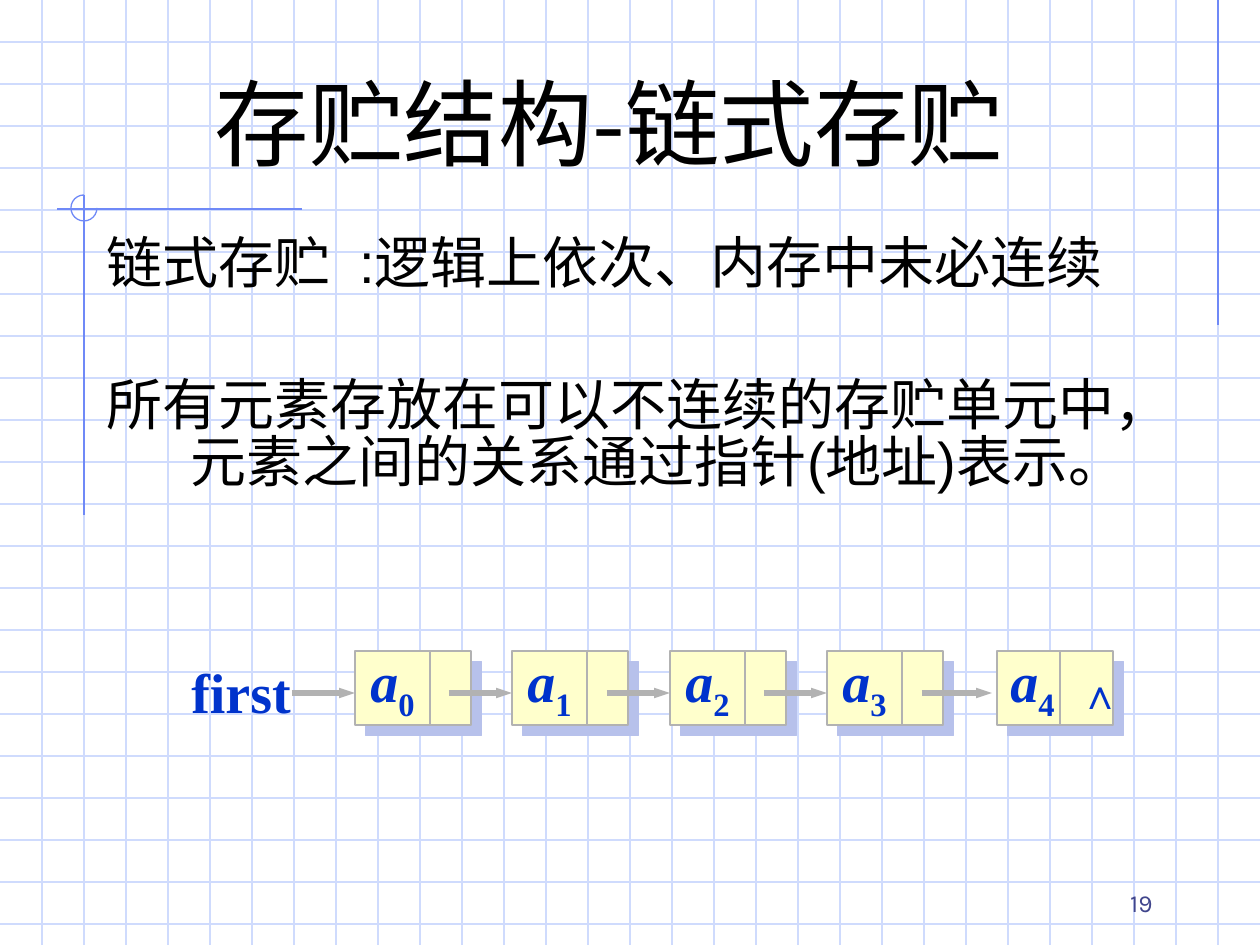
"""Build the slide on linked storage with its chain of nodes."""
from lxml.etree import SubElement
from pptx import Presentation
from pptx.dml.color import RGBColor
from pptx.enum.shapes import MSO_CONNECTOR, MSO_SHAPE
from pptx.enum.text import MSO_ANCHOR, MSO_AUTO_SIZE, PP_ALIGN
from pptx.oxml.ns import qn
from pptx.util import Emu, Pt

WIDTH, HEIGHT, CELL = 1260, 945, 42
GRID, ACCENT, GRAY = "CFDBFD", "6F89F7", "B2B2B2"
TITLE = {"name": "Noto Sans CJK SC", "size": Pt(54), "color": "000000"}
BODY = {"name": "Arial", "size": Pt(32), "color": "000000"}
NUMBER = {"name": "Karla", "size": Pt(14), "color": "40458C"}
LABEL = {"name": "Times New Roman", "size": Pt(32), "bold": True, "color": "0033CC"}
ITALIC = {**LABEL, "italic": True}
SUBSCRIPT = {**LABEL, "baseline": "-25000"}
NIL = {**LABEL, "name": "Arial", "size": Pt(24)}
HANGING = {"line_spacing": Pt(32.6), "space_before": Pt(8)}


def px(n):
    return Emu(round(n * 914400 / 126))


def rgb(value):
    return RGBColor.from_string(value)


class Deck:
    def __init__(self, prs):
        self.prs = prs
        prs.slide_width, prs.slide_height = px(WIDTH), px(HEIGHT)
        self.s = prs.slides.add_slide(prs.slide_layouts[6])
        fill = self.s.background.fill
        fill.solid()
        fill.fore_color.rgb = rgb("FFFFFF")

    def line(self, x1, y1, x2, y2, color, weight=0.75, arrow=False):
        c = self.s.shapes.add_connector(
            MSO_CONNECTOR.STRAIGHT, px(x1), px(y1), px(x2), px(y2))
        c.line.color.rgb = rgb(color)
        c.line.width = Pt(weight)
        if arrow:
            SubElement(c.line._get_or_add_ln(), qn("a:tailEnd"),
                       type="triangle", w="sm", len="med")
        SubElement(c._element.spPr, qn("a:effectLst"))

    def shape(self, kind, x, y, w, h, color, fill=None):
        sp = self.s.shapes.add_shape(kind, px(x), px(y), px(w), px(h))
        sp.shadow.inherit = False
        sp.line.color.rgb = rgb(color)
        sp.line.width = Pt(0.75)
        if fill:
            sp.fill.solid()
            sp.fill.fore_color.rgb = rgb(fill)
        else:
            sp.fill.background()
        return sp

    def shadow(self, sp, color):
        effects = sp._element.spPr.find(qn("a:effectLst"))
        shadow = SubElement(effects, qn("a:outerShdw"), dist=str(Pt(8.5)),
                            dir="2700000", algn="ctr", rotWithShape="0")
        SubElement(shadow, qn("a:srgbClr"), val=color)

    def run(self, p, text, style):
        r = p.add_run()
        r.text = text
        rPr = r._r.get_or_add_rPr()
        for key, value in style.items():
            if key == "color":
                r.font.color.rgb = rgb(value)
            elif key in ("baseline", "spc"):
                rPr.set(key, value)
            else:
                setattr(r.font, key, value)
        if style["name"] in (TITLE["name"], BODY["name"]):
            SubElement(rPr, qn("a:ea"), typeface=TITLE["name"])

    def text(self, x, y, w, h, paragraphs, frame=None, layout=None, indent=0):
        sp = self.s.shapes.add_textbox(px(x), px(y), px(w), px(h))
        tf = sp.text_frame
        for key, value in {"word_wrap": True, **(frame or {})}.items():
            setattr(tf, key, value)
        for i, runs in enumerate(paragraphs):
            p = tf.add_paragraph() if i else tf.paragraphs[0]
            for key, value in (layout or {}).items():
                setattr(p, key, value)
            if indent:
                pPr = p._p.get_or_add_pPr()
                pPr.set("marL", str(px(indent)))
                pPr.set("indent", str(-px(indent)))
            for text, style in runs:
                self.run(p, text, style)
        return tf

    def label(self, x, y, w, h, *runs):
        self.text(x, y, w, h, [runs], {
            "word_wrap": False, "auto_size": MSO_AUTO_SIZE.SHAPE_TO_FIT_TEXT})


def draw_backdrop(deck):
    for y in range(CELL, HEIGHT, CELL):
        deck.line(0, y, WIDTH, y, GRID)
    for x in range(CELL, WIDTH, CELL):
        deck.line(x, 0, x, HEIGHT, GRID)
    for ends in ((1218, 0, 1218, 325), (302, 209, 57, 209), (84, 195, 84, 515)):
        deck.line(*ends, ACCENT)
    arc = deck.shape(MSO_SHAPE.ARC, 71, 195, 26, 26, ACCENT)
    arc.adjustments[0], arc.adjustments[1] = 0, 162


def draw_text(deck):
    deck.text(903, 861, 262, 63, [[("19", NUMBER)]],
              {"vertical_anchor": MSO_ANCHOR.BOTTOM}, {"alignment": PP_ALIGN.RIGHT})
    tf = deck.text(94, 231, 1092, 346, [
        [("链式存贮", BODY), (" ", {**BODY, "spc": "900"}),
         (":逻辑上依次、内存中未必连续", BODY)],
        [("所有元素存放在可以不连续的存贮单元中，元素之间的关系通过指针(地址)表示。", BODY)],
    ], layout=HANGING, indent=84)
    tf.paragraphs[1].space_before = Pt(49)
    deck.text(103, 77, 1012, 101, [[("存贮结构-链式存贮", TITLE)]],
              {"vertical_anchor": MSO_ANCHOR.BOTTOM, "margin_bottom": 0},
              {"alignment": PP_ALIGN.CENTER})


def draw_chain(deck):
    count, top, height = 5, 651, 74
    for i in range(count):
        step = i * 315 // 2
        last = i == count - 1
        left = 997 if last else 355 + step
        tip = 992 if last else left
        node = deck.shape(MSO_SHAPE.RECTANGLE, left, top, 116, height, GRAY, "FFFFCC")
        deck.shadow(node, "B7C1EB")
        deck.line(430 + step, top, 430 + step, top + height, GRAY)
        deck.line(292 + step, 693, tip, 693, GRAY, 3, arrow=True)
        deck.label(left + (1 if last else 3), 640, 69, 89,
                   ("a", ITALIC), (str(i), SUBSCRIPT))
    deck.label(1067, 661, 39, 63, ("∧", NIL))
    deck.label(179, top, 125, 81, ("first", LABEL))


def main():
    prs = Presentation()
    deck = Deck(prs)
    draw_backdrop(deck)
    draw_text(deck)
    draw_chain(deck)
    prs.save("out.pptx")


if __name__ == "__main__":
    main()
